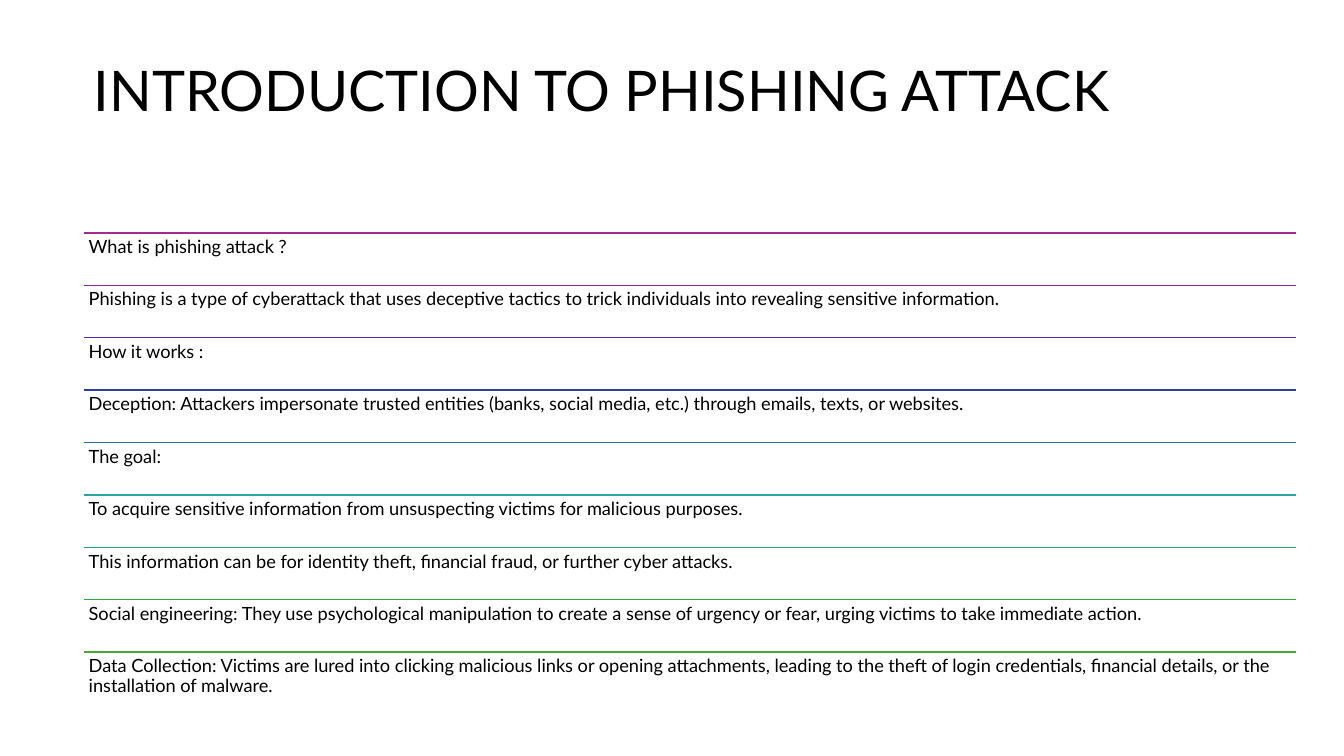
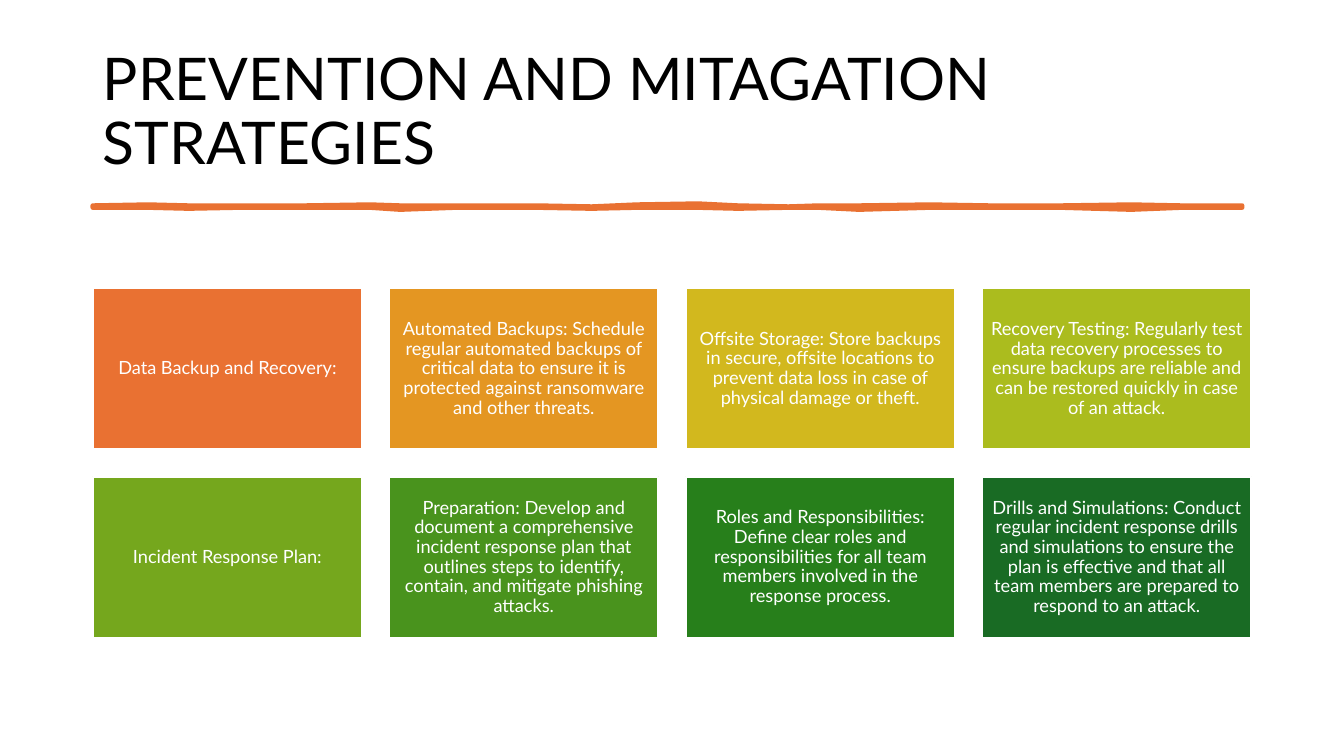
from lxml import etree
from pptx import Presentation
from pptx.dml.color import RGBColor
from pptx.enum import shapes, text
from pptx.oxml import ns
from pptx.util import Inches, Pt

FONT = "Lato"
COLORS = {"text": "000000", "paper": "FFFFFF", "accent": "E97132"}
ROW_COLORS = ["A02B93", "7C2BA1", "4B2CA2", "2C3EA3", "2C71A4",
              "2DA4A4", "2DA573", "2EA641", "4EA72E"]
TILE_COLORS = ["E97132", "E49622", "D2B81E", "ABBC1E",
               "75A71D", "49931D", "277F1B", "196B24"]

PHISHING_ROWS = [
    "What is phishing attack ?",
    "Phishing is a type of cyberattack that uses deceptive tactics to trick "
    "individuals into revealing sensitive information.",
    "How it works :",
    "Deception: Attackers impersonate trusted entities (banks, social media, etc.) "
    "through emails, texts, or websites.",
    "The goal:",
    "To acquire sensitive information from unsuspecting victims for malicious purposes.",
    "This information can be for identity theft, financial fraud, or further cyber attacks.",
    "Social engineering: They use psychological manipulation to create a sense of "
    "urgency or fear, urging victims to take immediate action.",
    "Data Collection: Victims are lured into clicking malicious links or opening "
    "attachments, leading to the theft of login credentials, financial details, or the "
    "installation of malware.",
]
STRATEGIES = [
    "Data Backup and Recovery:",
    "Automated Backups: Schedule regular automated backups of critical data to ensure "
    "it is protected against ransomware and other threats.",
    "Offsite Storage: Store backups in secure, offsite locations to prevent data loss "
    "in case of physical damage or theft.",
    "Recovery Testing: Regularly test data recovery processes to ensure backups are "
    "reliable and can be restored quickly in case of an attack.",
    "Incident Response Plan:",
    "Preparation: Develop and document a comprehensive incident response plan that "
    "outlines steps to identify, contain, and mitigate phishing attacks.",
    "Roles and Responsibilities: Define clear roles and responsibilities for all team "
    "members involved in the response process.",
    "Drills and Simulations: Conduct regular incident response drills and simulations "
    "to ensure the plan is effective and that all team members are prepared to respond "
    "to an attack.",
]

# Distance along the stroke, top edge and bottom edge, in inches
BRUSH_EDGES = [
    (0, 0, 0.02), (0.55, -0.01, 0.02), (0.95, 0, 0.03), (1.45, 0, 0.02),
    (2.1, 0, 0.02), (2.75, -0.01, 0.02), (3.05, 0, 0.04), (3.6, 0, 0.02),
    (4.4, 0, 0.02), (4.95, 0.01, 0.03), (5.4, -0.01, 0.02), (6, -0.02, 0.02),
    (6.4, 0, 0.03), (6.9, 0.01, 0.02), (7.2, 0, 0.02), (7.6, 0, 0.04),
    (8.3, -0.01, 0.02), (8.9, 0, 0.02), (9.6, 0, 0.02), (10.3, -0.01, 0.04),
    (10.8, 0, 0.02), (11.4, 0, 0.02),
]


def rgb(value):
    return RGBColor.from_string(value)


def add_text(tf, words, size, color, align, anchor):
    tf.word_wrap = True
    tf.auto_size = text.MSO_AUTO_SIZE.NONE
    tf.vertical_anchor = anchor
    p = tf.paragraphs[0]
    p.alignment = align
    p.line_spacing = 0.9
    r = p.add_run()
    r.text = words
    r.font.name = FONT
    r.font.size = Pt(size)
    r.font.color.rgb = rgb(color)


def set_margins(tf, inches):
    tf.margin_left = tf.margin_right = Inches(inches)
    tf.margin_top = tf.margin_bottom = Inches(inches)


def add_titled_slide(prs, title, box, size):
    slide = prs.slides.add_slide(prs.slide_layouts.get_by_name("Title Only"))
    sp = slide.shapes.title
    sp.left, sp.top, sp.width, sp.height = map(Inches, box)
    add_text(sp.text_frame, title, size, COLORS["text"],
             text.PP_ALIGN.LEFT, text.MSO_ANCHOR.MIDDLE)
    return slide


def add_rule(slide, x, y, width, color):
    line = slide.shapes.add_connector(
        shapes.MSO_CONNECTOR.STRAIGHT,
        Inches(x), Inches(y), Inches(x + width), Inches(y))
    line.line.color.rgb = rgb(color)
    line.line.width = Pt(1)
    etree.SubElement(line._element.spPr, ns.qn("a:effectLst"))


def add_ruled_rows(slide, box, rows):
    """Stack equal rows of text, each under its own coloured line."""
    x, y, width, height = box
    row_height = height / len(rows)
    for i, (words, color) in enumerate(zip(rows, ROW_COLORS)):
        top = y + i * row_height
        add_rule(slide, x, top, width, color)
        sp = slide.shapes.add_textbox(
            Inches(x), Inches(top), Inches(width), Inches(row_height))
        set_margins(sp.text_frame, 0.05)
        add_text(sp.text_frame, words, 13, COLORS["text"],
                 text.PP_ALIGN.LEFT, text.MSO_ANCHOR.TOP)


def add_brush_stroke(slide, x, y):
    top = [(x + dx, y + upper) for dx, upper, _ in BRUSH_EDGES]
    bottom = [(x + dx, y + lower) for dx, _, lower in reversed(BRUSH_EDGES)]
    points = [(Inches(px), Inches(py)) for px, py in top + bottom]
    builder = slide.shapes.build_freeform(*points[0])
    builder.add_line_segments(points[1:], close=True)
    sp = builder.convert_to_shape()
    sp.shadow.inherit = False
    sp.fill.solid()
    sp.fill.fore_color.rgb = rgb(COLORS["accent"])
    sp.line.color.rgb = rgb(COLORS["accent"])
    sp.line.width = Pt(3.25)
    etree.SubElement(sp.line._get_or_add_ln(), ns.qn("a:round"))


def add_tile_grid(slide, box, labels, columns=4, gap=0.27):
    x, y, width, height = box
    rows = len(labels) // columns
    tile_width = (width - gap * (columns - 1)) / columns
    tile_height = (height - gap * (rows - 1)) / rows
    for i, (words, color) in enumerate(zip(labels, TILE_COLORS)):
        row, column = divmod(i, columns)
        sp = slide.shapes.add_shape(
            shapes.MSO_SHAPE.RECTANGLE,
            Inches(x + column * (tile_width + gap)),
            Inches(y + row * (tile_height + gap)),
            Inches(tile_width), Inches(tile_height))
        sp.shadow.inherit = False
        sp.fill.solid()
        sp.fill.fore_color.rgb = rgb(color)
        sp.line.color.rgb = rgb(COLORS["paper"])
        sp.line.width = Pt(1.5)
        set_margins(sp.text_frame, 0.05)
        add_text(sp.text_frame, words, 13, COLORS["paper"],
                 text.PP_ALIGN.CENTER, text.MSO_ANCHOR.MIDDLE)


def add_introduction(prs):
    slide = add_titled_slide(prs, "INTRODUCTION TO PHISHING ATTACK",
                             (0.83, 0.26, 11.77, 1.34), 40)
    add_ruled_rows(slide, (0.83, 2.31, 12.02, 4.68), PHISHING_ROWS)


def add_prevention(prs):
    slide = add_titled_slide(prs, "PREVENTION AND MITAGATION STRATEGIES",
                             (0.92, 0.4, 11.5, 1.45), 42)
    add_brush_stroke(slide, 0.92, 2.04)
    add_tile_grid(slide, (0.92, 2.86, 11.49, 3.47), STRATEGIES)


def main():
    prs = Presentation()
    prs.slide_width = Inches(13.33)
    prs.slide_height = Inches(7.5)
    add_introduction(prs)
    add_prevention(prs)
    prs.save("out.pptx")


if __name__ == "__main__":
    main()
